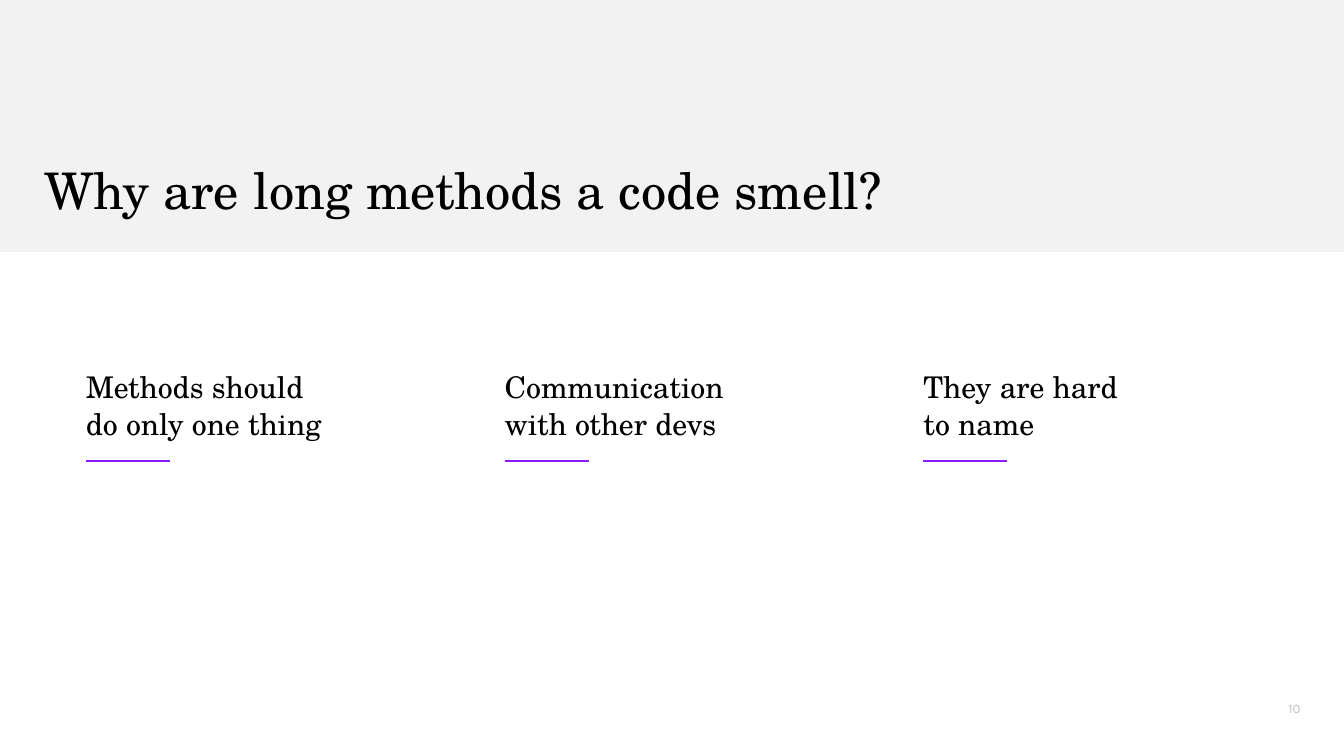
from pptx import Presentation
from pptx.dml.color import RGBColor
from pptx.enum.shapes import MSO_CONNECTOR, MSO_SHAPE
from pptx.enum.text import MSO_ANCHOR, MSO_AUTO_SIZE, PP_ALIGN
from pptx.oxml.ns import qn
from pptx.util import Pt

COLORS = {"band": "F2F2F2", "ink": "000000", "rule": "871CFF", "page": "BFBFBF"}
SERIF, SANS = "TeX Gyre Schola", "Karla"
POINTS = [
    ("Methods should do only one thing", 134.6),
    ("Communication with other devs", 139.7),
    ("They are hard\nto name", 179.3),
]


def tint(name):
    """Return the named colour."""
    return RGBColor.from_string(COLORS[name])


def write(shape, box, text, size, font=SERIF, color="ink", lead=1.0,
          align=PP_ALIGN.LEFT, anchor=MSO_ANCHOR.TOP):
    """Place a text shape in its box, then fill and format it."""
    shape.left, shape.top, shape.width, shape.height = map(Pt, box)
    frame = shape.text_frame
    frame.text = text
    frame.word_wrap = True
    frame.auto_size = MSO_AUTO_SIZE.NONE
    frame.vertical_anchor = anchor
    frame.margin_left = frame.margin_right = 0
    frame.margin_top = frame.margin_bottom = 0
    for para in frame.paragraphs:
        props = para._p.get_or_add_pPr()
        props.set("marL", "0")
        props.set("indent", "0")
        props.append(props.makeelement(qn("a:buNone"), {}))
        para.alignment = align
        para.line_spacing = lead
        para.space_before = para.space_after = Pt(0)
        for run in para.runs:
            run.font.name = font
            run.font.size = Pt(size)
            run.font.bold = False
            run.font.color.rgb = tint(color)


def add_header(slide, box, text):
    """Draw the grey band behind the slide title."""
    left, top, width, height = box
    band = slide.shapes.add_shape(MSO_SHAPE.RECTANGLE, *map(Pt, box))
    band.shadow.inherit = False
    band.fill.solid()
    band.fill.fore_color.rgb = tint("band")
    band.line.fill.background()
    slide.shapes.element.insert(2, band.element)
    title = (left + 23.8, top + height - 48, 471, 39)
    write(slide.shapes.title, title, text, 27, lead=0.97)


def add_point(slide, holder, box, text):
    """Write one point with a short rule at the foot of its box."""
    left, top, width, height = box
    write(holder, (left, top, width, 44.6), text, 16, lead=1.04)
    foot = top + height
    rule = slide.shapes.add_connector(
        MSO_CONNECTOR.STRAIGHT, Pt(left), Pt(foot), Pt(left + 45), Pt(foot))
    rule.line.color.rgb = tint("rule")
    rule.line.width = Pt(1)
    props = rule.element.spPr
    props.append(props.makeelement(qn("a:effectLst"), {}))


def add_points(slide, box, points):
    """Set the points in evenly spaced columns."""
    left, top, width, height = box
    pitch = width / len(points)
    holders = [p for p in slide.placeholders if p.placeholder_format.idx in range(1, 5)]
    for i, (text, span) in enumerate(points):
        add_point(slide, holders[i], (left + i * pitch, top, span, height), text)
    for spare in holders[len(points):]:
        spare.element.getparent().remove(spare.element)


def add_page(slide, box, text):
    """Write the page number."""
    note = slide.shapes.add_textbox(*map(Pt, box))
    write(note, box, text, 7, SANS, "page",
          align=PP_ALIGN.RIGHT, anchor=MSO_ANCHOR.BOTTOM)


def main():
    """Build and save the slide."""
    deck = Presentation()
    deck.slide_width, deck.slide_height = Pt(720), Pt(405)
    slide = deck.slides.add_slide(deck.slide_layouts.get_by_name("Comparison"))
    add_header(slide, (0, 0, 720, 135), "Why are long methods a code smell?")
    add_points(slide, (46, 196.5, 673, 50.5), POINTS)
    add_page(slide, (675.4, 373, 21.2, 10.8), "10")
    deck.save("out.pptx")


if __name__ == "__main__":
    main()
